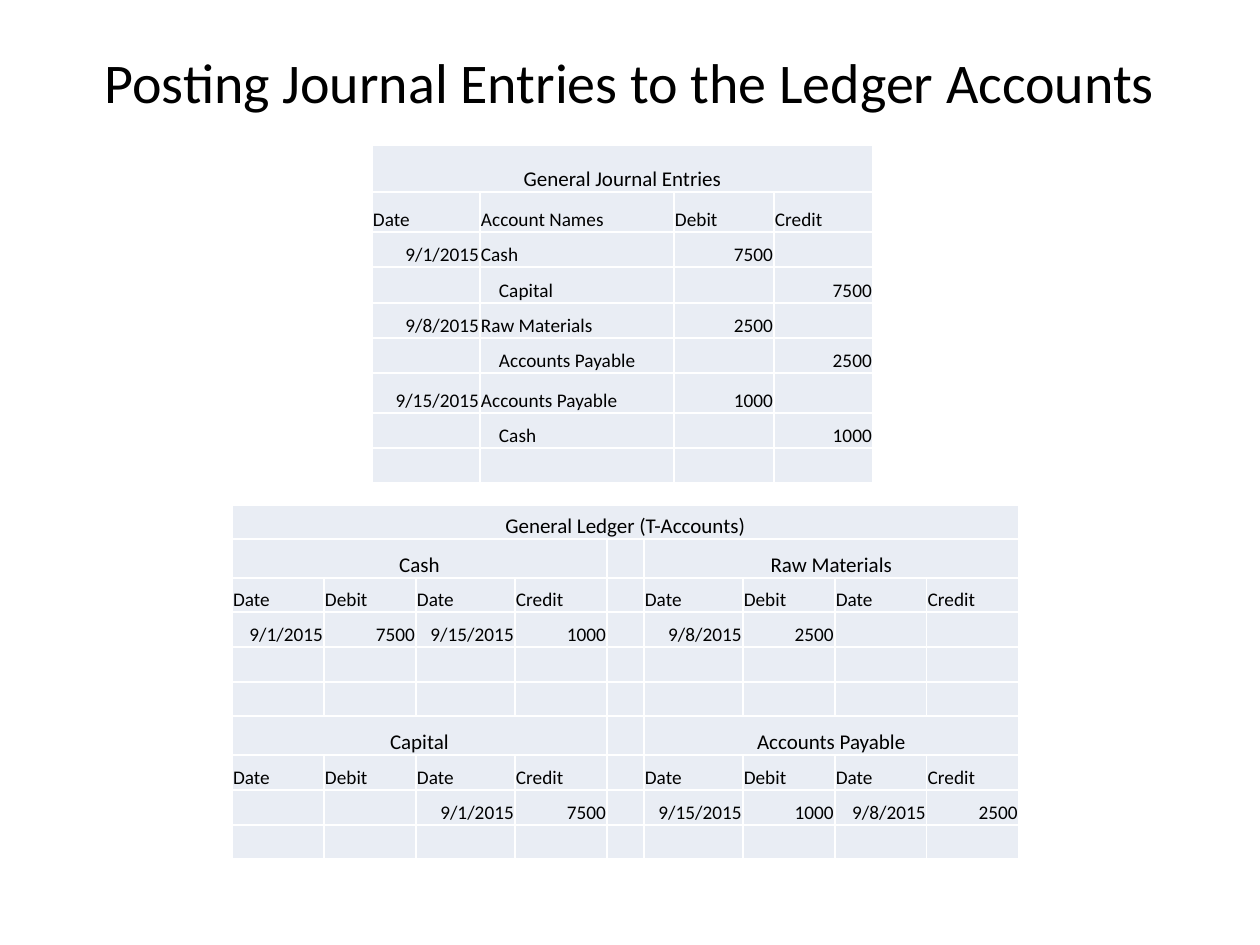
from dataclasses import dataclass
from lxml.etree import SubElement
from pptx import Presentation
from pptx.dml.color import RGBColor
from pptx.enum.text import MSO_ANCHOR as ANCHOR, PP_ALIGN as ALIGN
from pptx.oxml.ns import qn
from pptx.util import Emu, Pt

SCALE = 914400 / 126


@dataclass(frozen=True)
class Theme:
    font: str = "Calibri"
    ink: str = "000000"
    cell: str = "E9EDF4"
    border: str = "FFFFFF"
    title: int = 32
    heading: int = 12
    body: int = 11


@dataclass(frozen=True)
class Heading:
    """A centred title that spans several columns."""
    text: str
    span: int


@dataclass(frozen=True)
class Indented:
    """A credited account name, set in from the left."""
    text: str


THEME = Theme()
BLANK = ""

JOURNAL = [
    [Heading("General Journal Entries", 4)],
    ["Date", "Account Names", "Debit", "Credit"],
    ["9/1/2015", "Cash", "7500", BLANK],
    [BLANK, Indented("Capital"), BLANK, "7500"],
    ["9/8/2015", "Raw Materials", "2500", BLANK],
    [BLANK, Indented("Accounts Payable"), BLANK, "2500"],
    ["9/15/2015", "Accounts Payable", "1000", BLANK],
    [BLANK, Indented("Cash"), BLANK, "1000"],
    [BLANK] * 4,
]
JOURNAL_COLS = [108, 194, 100, 99]
JOURNAL_ROWS = [47, 40, 35, 36, 35, 35, 40, 35, 35]

SIDES = ["Date", "Debit", "Date", "Credit"]
NO_ENTRY = [BLANK] * 4


def pair(left, right):
    """Join the rows of two T-accounts around the gap column."""
    return left + [BLANK] + right


def account_names(left, right):
    """Return the title row of two T-accounts."""
    return pair([Heading(left, 4)], [Heading(right, 4)])


LEDGER = [
    [Heading("General Ledger (T-Accounts)", 9)],
    account_names("Cash", "Raw Materials"),
    pair(SIDES, SIDES),
    pair(["9/1/2015", "7500", "9/15/2015", "1000"], ["9/8/2015", "2500", BLANK, BLANK]),
    pair(NO_ENTRY, NO_ENTRY),
    pair(NO_ENTRY, NO_ENTRY),
    account_names("Capital", "Accounts Payable"),
    pair(SIDES, SIDES),
    pair([BLANK, BLANK, "9/1/2015", "7500"], ["9/15/2015", "1000", "9/8/2015", "2500"]),
    pair(NO_ENTRY, NO_ENTRY),
]
LEDGER_COLS = [92, 92, 99, 92, 37, 99, 92, 92, 92]
LEDGER_ROWS = [34, 39, 34, 35, 35, 34, 39, 35, 35, 34]


def px(n):
    """Turn pixels into EMU."""
    return Emu(round(n * SCALE))


def set_text(p, text, size, align):
    """Write one paragraph in the theme font."""
    p.text = text
    p.alignment = align
    p.font.name = THEME.font
    p.font.size = Pt(size)
    p.font.color.rgb = RGBColor.from_string(THEME.ink)
    if not text:
        p._p.get_or_add_endParaRPr().set("sz", str(size * 100))


def style_cell(cell):
    """Give a cell its borders, fill, margins and anchor."""
    tc_pr = cell._tc.get_or_add_tcPr()
    for side in ("a:lnL", "a:lnR", "a:lnT", "a:lnB"):
        ln = SubElement(tc_pr, qn(side), w=str(Pt(1)))
        SubElement(SubElement(ln, qn("a:solidFill")), qn("a:srgbClr"), val=THEME.border)
    cell.fill.solid()
    cell.fill.fore_color.rgb = RGBColor.from_string(THEME.cell)
    cell.margin_left = cell.margin_right = cell.margin_top = px(1)
    cell.margin_bottom = 0
    cell.vertical_anchor = ANCHOR.BOTTOM


def fill_cell(cell, value):
    """Write a value; dates and amounts go to the right."""
    text, size, align = value, THEME.body, ALIGN.LEFT
    if isinstance(value, Heading):
        text, size, align = value.text, THEME.heading, ALIGN.CENTER
    elif isinstance(value, Indented):
        text = value.text
        cell.margin_left = px(19)
    elif value[:1].isdigit():
        align = ALIGN.RIGHT
    set_text(cell.text_frame.paragraphs[0], text, size, align)


def add_title(slide, text, left, top, width, height):
    """Place the slide title in its box."""
    tf = slide.shapes.add_textbox(px(left), px(top), px(width), px(height)).text_frame
    tf.word_wrap = True
    tf.vertical_anchor = ANCHOR.MIDDLE
    set_text(tf.paragraphs[0], text, THEME.title, ALIGN.CENTER)


def add_accounts(slide, rows, col_widths, row_heights, left, top):
    """Place an accounting table with its top left corner at left, top."""
    table = slide.shapes.add_table(
        len(rows), len(col_widths), px(left), px(top),
        px(sum(col_widths)), px(sum(row_heights))).table
    table.first_row = table.horz_banding = False
    for column, width in zip(table.columns, col_widths):
        column.width = px(width)
    for row, height in zip(table.rows, row_heights):
        row.height = px(height)
    for cell in table.iter_cells():
        style_cell(cell)
        fill_cell(cell, BLANK)
    for r, values in enumerate(rows):
        c = 0
        for value in values:
            span = value.span if isinstance(value, Heading) else 1
            cell = table.cell(r, c)
            if span > 1:
                cell.merge(table.cell(r, c + span - 1))
            fill_cell(cell, value)
            c += span


def main():
    """Build the slide and save it."""
    prs = Presentation()
    prs.slide_width, prs.slide_height = px(1260), px(945)
    slide = prs.slides.add_slide(prs.slide_layouts[6])
    add_title(slide, "Posting Journal Entries to the Ledger Accounts", 63, 38, 1134, 87)
    add_accounts(slide, JOURNAL, JOURNAL_COLS, JOURNAL_ROWS, 372, 145)
    add_accounts(slide, LEDGER, LEDGER_COLS, LEDGER_ROWS, 232, 505)
    prs.save("out.pptx")


main()
